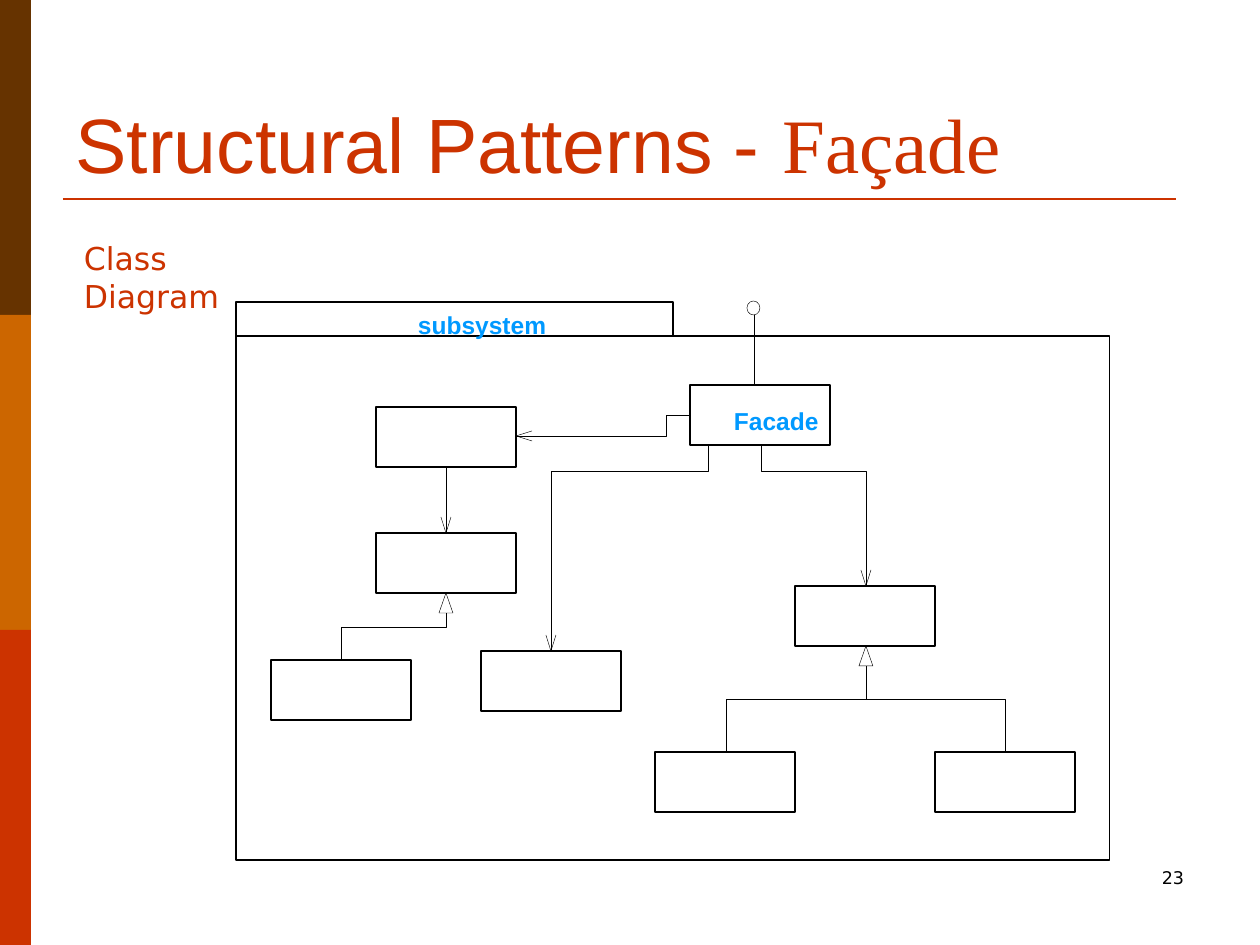
from dataclasses import dataclass

from lxml import etree
from pptx import Presentation
from pptx.dml.color import RGBColor
from pptx.enum.shapes import MSO_CONNECTOR, MSO_SHAPE
from pptx.enum.text import MSO_ANCHOR, MSO_AUTO_SIZE, PP_ALIGN
from pptx.oxml.ns import qn
from pptx.util import Emu, Pt

RECT, OVAL = MSO_SHAPE.RECTANGLE, MSO_SHAPE.OVAL
STRAIGHT = MSO_CONNECTOR.STRAIGHT
LEFT, RIGHT = PP_ALIGN.LEFT, PP_ALIGN.RIGHT
BOTTOM = MSO_ANCHOR.BOTTOM
NO_FIT = MSO_AUTO_SIZE.NONE
PX = 914400 // 126


@dataclass(frozen=True)
class Theme:
    brown: str = "663300"
    orange: str = "CC6600"
    red: str = "CC3300"
    blue: str = "0099FF"
    ink: str = "000000"
    paper: str = "FFFFFF"
    sans: str = "Arial"
    serif: str = "Times New Roman"
    body: str = "DejaVu Sans"
    title_size: int = 44
    caption_size: int = 18
    label_size: int = 14
    number_size: int = 10
    rule: float = 1.5
    outline: float = 0.74
    hairline: float = 0.26


theme = Theme()


def paint(item, fill, line, weight):
    item.shadow.inherit = False
    if fill:
        item.fill.solid()
        item.fill.fore_color.rgb = RGBColor.from_string(fill)
    else:
        item.fill.background()
    if line:
        item.line.color.rgb = RGBColor.from_string(line)
        item.line.width = Pt(weight)
    else:
        item.line.fill.background()


def add_run(paragraph, text, font, size, color, bold=False):
    run = paragraph.add_run()
    run.text = text
    run.font.name = font
    run.font.size = Pt(size)
    run.font.bold = bold
    run.font.color.rgb = RGBColor.from_string(color)


prs = Presentation()
prs.slide_width, prs.slide_height = Emu(1260 * PX), Emu(945 * PX)
slide = prs.slides.add_slide(prs.slide_layouts[5])
shapes = slide.shapes

for band, color in enumerate((theme.brown, theme.orange, theme.red)):
    stripe = shapes.add_shape(RECT, 0, band * 315 * PX, 31 * PX, 315 * PX)
    paint(stripe, color, None, 0)

title = shapes.title
title.left, title.top = Emu(63 * PX), Emu(38 * PX)
title.width, title.height = Emu(1134 * PX), Emu(157 * PX)
title.text_frame.auto_size = NO_FIT
title.text_frame.vertical_anchor = BOTTOM
heading = title.text_frame.paragraphs[0]
heading.alignment = LEFT
add_run(heading, "Structural Patterns - ", theme.sans, theme.title_size, theme.red)
add_run(heading, "Façade", theme.serif, theme.title_size, theme.red)

package = [(236, 336, 874, 524), (236, 302, 437, 34)]
for x, y, width, height in package:
    frame = shapes.add_shape(RECT, x * PX, y * PX, width * PX, height * PX)
    paint(frame, theme.paper, theme.ink, theme.outline)

CLASS_W, CLASS_H = 140, 60
classes = [(690, 385), (376, 407), (376, 533), (271, 660),
           (481, 651), (795, 586), (655, 752), (935, 752)]
for x, y in classes:
    box = shapes.add_shape(RECT, x * PX, y * PX, CLASS_W * PX, CLASS_H * PX)
    paint(box, theme.paper, theme.ink, theme.outline)
    base = shapes.build_freeform(x, y + CLASS_H, scale=PX)
    base.add_line_segments([(x + CLASS_W, y + CLASS_H)], close=True)
    paint(base.convert_to_shape(), theme.paper, theme.ink, theme.outline)

routes = [
    [(726, 752), (726, 699), (795, 699), (866, 699), (866, 666)],
    [(1005, 752), (1005, 699), (935, 699), (866, 699), (866, 666)],
    [(341, 660), (341, 627), (394, 627), (446, 627), (446, 613)],
    [(690, 415), (666, 415), (666, 436), (516, 436)],
    [(761, 445), (761, 471), (866, 471), (866, 586)],
    [(708, 445), (708, 471), (551, 471), (551, 651)],
]
for x, y in [(866, 646), (446, 593)]:
    routes.append([(x + 7, y + 20), (x, y), (x - 7, y + 20), (x + 7, y + 20)])
for x, y in [(446, 533), (866, 586), (551, 651)]:
    routes.append([(x - 5, y - 16), (x, y), (x + 5, y - 16)])
routes.append([(532, 431), (516, 436), (532, 441)])
for start, *rest in routes:
    route = shapes.build_freeform(*start, scale=PX)
    route.add_line_segments(rest, close=False)
    paint(route.convert_to_shape(), None, theme.ink, theme.hairline)

interface = shapes.add_shape(OVAL, 747 * PX, 301 * PX, 13 * PX, 14 * PX)
paint(interface, theme.paper, theme.ink, theme.hairline)

straight_lines = [
    (63, 199, 1176, 199, theme.red, theme.rule),
    (446, 467, 446, 533, theme.ink, theme.hairline),
    (754, 315, 754, 385, theme.ink, theme.hairline),
]
for x1, y1, x2, y2, color, weight in straight_lines:
    link = shapes.add_connector(STRAIGHT, x1 * PX, y1 * PX, x2 * PX, y2 * PX)
    link.line.color.rgb = RGBColor.from_string(color)
    link.line.width = Pt(weight)
    etree.SubElement(link._element.spPr, qn("a:effectLst"))

labels = [
    ("Class Diagram", 71, 233, 237, 50, True, 13, LEFT,
     theme.body, theme.caption_size, theme.red, False),
    ("subsystem", 418, 310, 129, 29, False, 0, LEFT,
     theme.sans, theme.label_size, theme.blue, True),
    ("Facade", 734, 406, 85, 29, False, 0, LEFT,
     theme.sans, theme.label_size, theme.blue, True),
    ("23", 903, 861, 294, 63, True, 13, RIGHT,
     theme.body, theme.number_size, theme.ink, False),
]
for text, x, y, width, height, wrap, inset, align, *style in labels:
    label = shapes.add_textbox(x * PX, y * PX, width * PX, height * PX).text_frame
    label.word_wrap = wrap
    label.margin_left = label.margin_right = Emu(inset * PX)
    label.margin_top = label.margin_bottom = Emu(inset * PX // 2)
    label.paragraphs[0].alignment = align
    add_run(label.paragraphs[0], text, *style)

prs.save("out.pptx")
